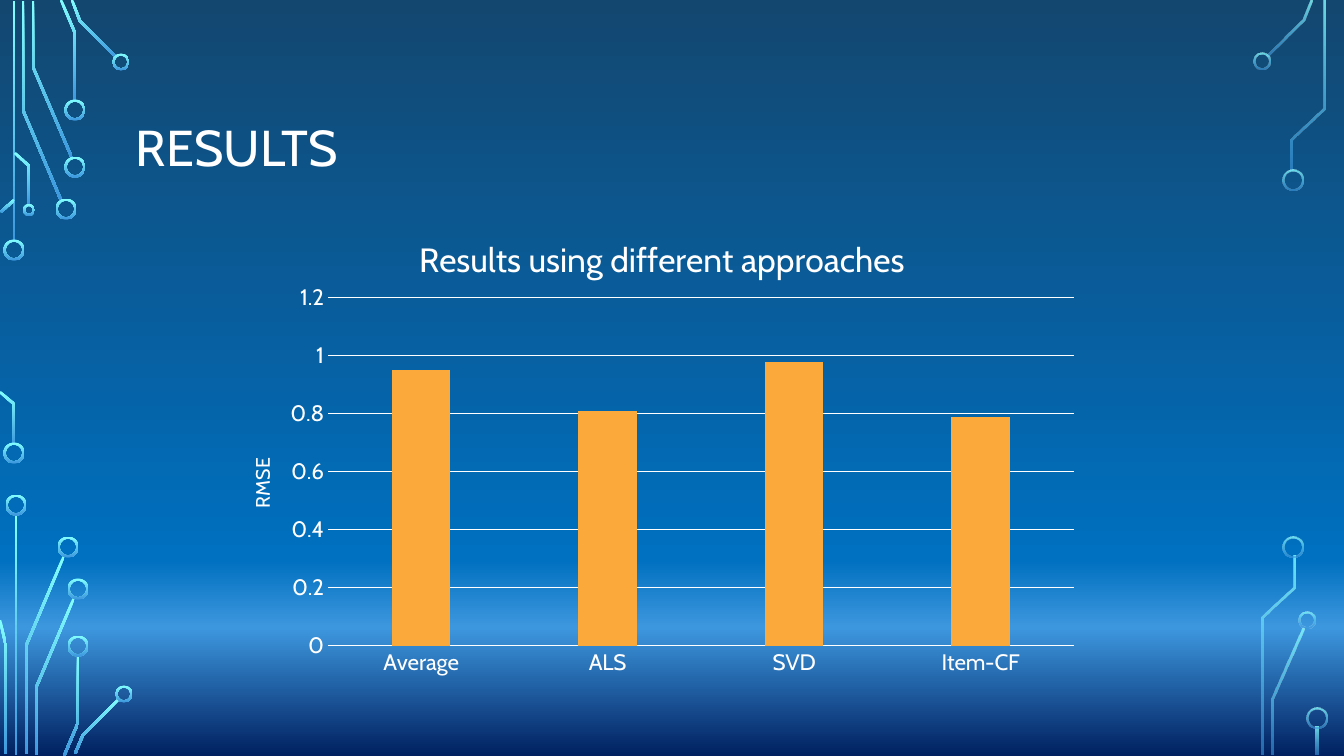
from math import hypot
from lxml import etree
from pptx import Presentation
from pptx.chart.data import CategoryChartData
from pptx.dml.color import RGBColor
from pptx.enum.chart import XL_CHART_TYPE, XL_TICK_MARK
from pptx.enum.shapes import MSO_SHAPE
from pptx.enum.text import MSO_ANCHOR
from pptx.oxml.ns import qn
from pptx.util import Pt

COLUMN = XL_CHART_TYPE.COLUMN_CLUSTERED
NO_TICK = XL_TICK_MARK.NONE
DONUT = MSO_SHAPE.DONUT
MIDDLE = MSO_ANCHOR.MIDDLE

HEX = {"text": "FFFFFF", "bar": "FAA93A", "glow": "82FFFF", "sky": "3D97DE",
       "top": "134770", "blue": "0070C0", "navy": "002060"}
FONT = "Cabin"
BACK = [(0, "top", 100), (74, "blue", 100), (83, "sky", 100), (100, "navy", 100)]
LEFT = [(0, "glow", 100), (100, "sky", 100)]
RIGHT = [(0, "glow", 80), (100, "sky", 60)]

TITLE = "RESULTS"
HEAD = "Results using different approaches"
UNIT = "RMSE"
SCORES = {"Average": 0.95, "ALS": 0.81, "SVD": 0.98, "Item-CF": 0.79}

TITLE_BOX = (126, 69, 1092, 163)
CHART_BOX = (219, 210, 873, 476)
PLOT_BOX = (328, 298, 746, 348)
HEAD_AT = (413, 230)
UNIT_AT = (245, 454)

BAND = 2.5
RIM = 2
LEFT_WIRES = [
    [(14, 1), (14, 241)],
    [(23, 1), (23, 110), (61, 200)],
    [(33, 1), (33, 67), (72, 158)],
    [(61, 0), (75, 33), (75, 101)],
    [(72, 0), (80, 21), (116, 57)],
    [(1, 212), (14, 200)],
    [(0, 392), (14, 404), (14, 445)],
    [(15, 153), (29, 166), (29, 205)],
    [(16, 514), (16, 755)],
    [(64, 556), (26, 646), (26, 754)],
    [(0, 620), (6, 646), (6, 754)],
    [(74, 598), (36, 688), (36, 755)],
    [(78, 655), (78, 723), (64, 756)],
    [(119, 699), (83, 735), (75, 754)],
]
RIGHT_WIRES = [
    [(1311, 0), (1303, 20), (1267, 56)],
    [(1324, 1), (1324, 108), (1292, 139), (1292, 170)],
    [(1303, 628), (1273, 699), (1273, 755)],
    [(1294, 556), (1294, 588), (1263, 618), (1263, 755)],
    [(1317, 727), (1317, 755)],
]
LEFT_RINGS = [(14, 250, 21), (14, 453, 21), (66, 209, 21), (75, 167, 21),
              (75, 110, 21), (121, 62, 17), (29, 210, 12), (16, 505, 21),
              (68, 547, 21), (78, 589, 21), (78, 646, 21), (124, 694, 17)]
RIGHT_RINGS = [(1262, 61, 17), (1293, 180, 21), (1307, 620, 17),
               (1293, 547, 21), (1317, 718, 21)]
SIDES = [(LEFT_WIRES, LEFT_RINGS, LEFT), (RIGHT_WIRES, RIGHT_RINGS, RIGHT)]


def emu(px):
    return round(px * 914400 / 100.8)


def color(name):
    return RGBColor.from_string(HEX[name])


def shade(fill, root, stops):
    fill.gradient()
    fill.gradient_angle = 270
    bag = root.find(".//" + qn("a:gsLst"))
    for old in list(bag):
        bag.remove(old)
    for pos, name, alpha in stops:
        stop = etree.SubElement(bag, qn("a:gs"), pos=str(pos * 1000))
        tint = etree.SubElement(stop, qn("a:srgbClr"), val=HEX[name])
        if alpha < 100:
            etree.SubElement(tint, qn("a:alpha"), val=str(alpha * 1000))


def finish(shape, stops):
    shape.shadow.inherit = False
    shape.line.fill.background()
    shade(shape.fill, shape._element.spPr, stops)


def outline(pts, half):
    norms = []
    for (ax, ay), (bx, by) in zip(pts, pts[1:]):
        size = hypot(bx - ax, by - ay)
        norms.append(((ay - by) / size, (bx - ax) / size))
    one, two = [], []
    for (x, y), (ax, ay), (bx, by) in zip(pts, norms[:1] + norms, norms + norms[-1:]):
        k = half / (1 + ax * bx + ay * by)
        dx, dy = (ax + bx) * k, (ay + by) * k
        one.append((emu(x + dx), emu(y + dy)))
        two.append((emu(x - dx), emu(y - dy)))
    return one + two[::-1]


def wire(pts, stops):
    edge = outline(pts, BAND / 2)
    pen = shapes.build_freeform(*edge[0], scale=1)
    pen.add_line_segments(edge[1:], close=True)
    finish(pen.convert_to_shape(), stops)


def ring(x, y, size, stops):
    box = (x - size / 2, y - size / 2, size, size)
    shape = shapes.add_shape(DONUT, *map(emu, box))
    shape.adjustments[0] = RIM / size
    finish(shape, stops)


def style(font, size):
    font.name = FONT
    font.size = Pt(size)
    font.bold = False
    font.color.rgb = color("text")


def write(frame, text, size=16, gap=None):
    para = frame.paragraphs[0]
    para.line_spacing = gap
    run = para.add_run()
    run.text = text
    style(run.font, size)


def place(node, index, box, inner=False):
    old = node.find(qn("c:layout"))
    if old is not None:
        node.remove(old)
    lay = etree.Element(qn("c:layout"))
    node.insert(index, lay)
    man = etree.SubElement(lay, qn("c:manualLayout"))
    left, top, wide, high = CHART_BOX
    parts = [("layoutTarget", "inner")] if inner else []
    parts += [("xMode", "edge"), ("yMode", "edge")]
    rates = [(box[0] - left) / wide, (box[1] - top) / high]
    rates += [size / full for size, full in zip(box[2:], (wide, high))]
    parts += zip("xywh", rates)
    for tag, val in parts:
        etree.SubElement(man, qn("c:" + tag), val=str(val))


deck = Presentation()
deck.slide_width, deck.slide_height = emu(1344), emu(756)
slide = deck.slides.add_slide(deck.slide_layouts[6])
shapes = slide.shapes
shade(slide.background.fill, slide._element, BACK)

for wires, rings, stops in SIDES:
    for pts in wires:
        wire(pts, stops)
    for spot in rings:
        ring(*spot, stops)

frame = shapes.add_textbox(*map(emu, TITLE_BOX)).text_frame
frame.word_wrap = True
frame.vertical_anchor = MIDDLE
write(frame, TITLE, size=36, gap=0.9)

data = CategoryChartData()
data.categories = list(SCORES)
data.add_series("Series 1", list(SCORES.values()))
chart = shapes.add_chart(COLUMN, *map(emu, CHART_BOX), data).chart
chart.has_legend = False
style(chart.font, 10)

write(chart.chart_title.text_frame, HEAD, size=24)
place(chart.chart_title._element, 1, HEAD_AT)

plot = chart.plots[0]
plot.gap_width = 219
plot.overlap = -27
plot.vary_by_categories = False
bars = plot.series[0].format.fill
bars.solid()
bars.fore_color.rgb = color("bar")
place(chart._chartSpace.chart.plotArea, 0, PLOT_BOX, inner=True)

cats, vals = chart.category_axis, chart.value_axis
for axis in (cats, vals):
    axis.major_tick_mark = axis.minor_tick_mark = NO_TICK
    style(axis.tick_labels.font, 16)
vals.minimum_scale, vals.maximum_scale, vals.major_unit = 0, 1.2, 0.2
vals.format.line.fill.background()
for line in (cats.format.line, vals.major_gridlines.format.line):
    line.color.rgb = color("text")
    line.width = Pt(0.75)

unit = vals.axis_title
write(unit.text_frame, UNIT, size=14)
body = unit._element.find(".//" + qn("a:bodyPr"))
body.set("rot", "-5400000")
body.set("vert", "horz")
place(unit._element, 1, UNIT_AT)

deck.save("out.pptx")
